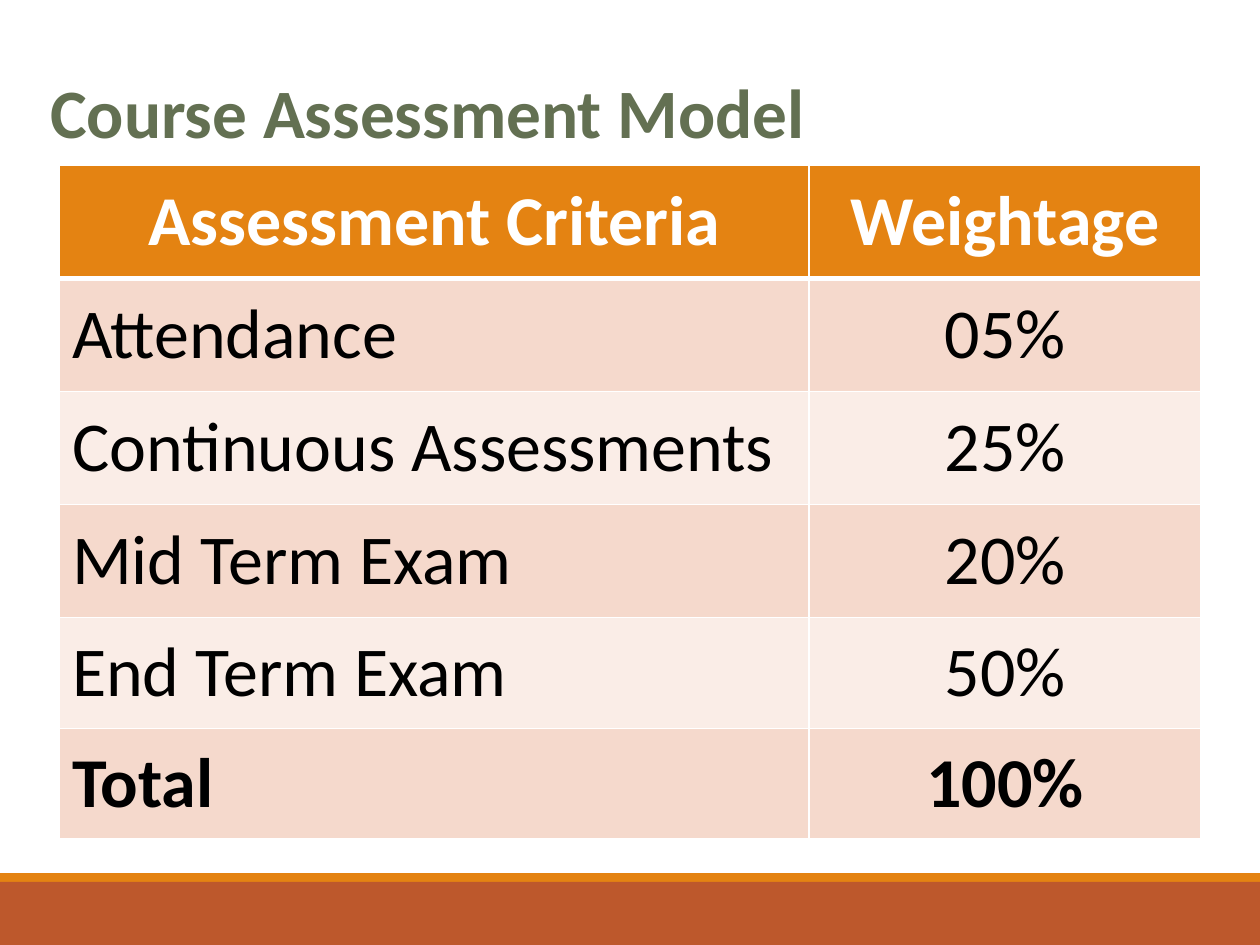
from lxml import etree
from pptx import Presentation
from pptx.dml.color import RGBColor
from pptx.enum.shapes import MSO_SHAPE
from pptx.enum.text import MSO_ANCHOR, PP_ALIGN
from pptx.oxml.ns import qn
from pptx.util import Pt

RECTANGLE = MSO_SHAPE.RECTANGLE
MIDDLE, BOTTOM = MSO_ANCHOR.MIDDLE, MSO_ANCHOR.BOTTOM
LEFT, CENTER = PP_ALIGN.LEFT, PP_ALIGN.CENTER
FONT = "Calibri"
ORANGE, RUST, OLIVE = "E48312", "BD582C", "637052"
WHITE, BLACK = "FFFFFF", "000000"
BANDS = ("F5D9CC", "FAEDE7")
COLUMN_WIDTHS = (428.4, 223.9)
ROW_HEIGHTS = (64.6, 64.6, 64.6, 64.6, 63.4, 63.4)
CRITERIA = (
    ("Assessment Criteria", "Weightage"),
    ("Attendance", "05%"),
    ("Continuous Assessments", "25%"),
    ("Mid Term Exam", "20%"),
    ("End Term Exam", "50%"),
    ("Total", "100%"),
)


def color(value):
    """Return the colour for a hex string."""
    return RGBColor.from_string(value)


def style_text(paragraph, size, value, bold, alignment=LEFT):
    """Set the alignment and font of a paragraph."""
    paragraph.alignment = alignment
    font = paragraph.font
    font.name, font.size, font.bold = FONT, Pt(size), bold
    font.color.rgb = color(value)


def set_borders(cell, widths):
    """Draw white cell borders with the given width for each side."""
    properties = cell._tc.get_or_add_tcPr()
    for index, (side, width) in enumerate(widths.items()):
        line = etree.Element(qn(f"a:ln{side}"), w=str(Pt(width)))
        fill = etree.SubElement(line, qn("a:solidFill"))
        etree.SubElement(fill, qn("a:srgbClr"), val=WHITE)
        properties.insert(index, line)


def add_footer(slide, left, top, width, height):
    """Add the footer band with its thin strip along the top."""
    strip = 5
    bands = ((top, strip, ORANGE), (top + strip, height - strip, RUST))
    for band_top, band_height, value in bands:
        shape = slide.shapes.add_shape(
            RECTANGLE, Pt(left), Pt(band_top), Pt(width), Pt(band_height))
        shape.shadow.inherit = False
        shape.fill.solid()
        shape.fill.fore_color.rgb = color(value)
        shape.line.fill.background()


def add_title(slide, left, top, width, height):
    """Add the slide title."""
    box = slide.shapes.add_textbox(Pt(left), Pt(top), Pt(width), Pt(height))
    frame = box.text_frame
    frame.word_wrap = True
    frame.vertical_anchor = BOTTOM
    frame.margin_bottom = Pt(7.2)
    frame.text = "Course Assessment Model"
    style_text(frame.paragraphs[0], 39.6, OLIVE, True)


def add_assessment_table(slide, left, top):
    """Add the table of assessment criteria and their weightage."""
    table = slide.shapes.add_table(
        len(CRITERIA), len(COLUMN_WIDTHS), Pt(left), Pt(top),
        Pt(sum(COLUMN_WIDTHS)), Pt(sum(ROW_HEIGHTS))).table
    for column, width in zip(table.columns, COLUMN_WIDTHS):
        column.width = Pt(width)
    for row_index, texts in enumerate(CRITERIA):
        table.rows[row_index].height = Pt(ROW_HEIGHTS[row_index])
        header = row_index == 0
        bold = header or row_index == len(CRITERIA) - 1
        background = ORANGE if header else BANDS[(row_index - 1) % 2]
        borders = {"L": 1, "R": 1, "T": 3 if row_index == 1 else 1, "B": 3 if header else 1}
        for column_index, text in enumerate(texts):
            cell = table.cell(row_index, column_index)
            cell.text = text
            cell.vertical_anchor = MIDDLE
            cell.fill.solid()
            cell.fill.fore_color.rgb = color(background)
            set_borders(cell, borders)
            alignment = CENTER if header or column_index else LEFT
            style_text(cell.text_frame.paragraphs[0], 40,
                       WHITE if header else BLACK, bold, alignment)


def main():
    """Build and save the presentation."""
    presentation = Presentation()
    presentation.slide_width, presentation.slide_height = Pt(720), Pt(540)
    slide = presentation.slides.add_slide(presentation.slide_layouts[6])
    add_footer(slide, 0, 499, 720, 41)
    add_title(slide, 21.6, 43.2, 674.6, 51.1)
    add_assessment_table(slide, 34, 94.5)
    presentation.save("out.pptx")


if __name__ == "__main__":
    main()
